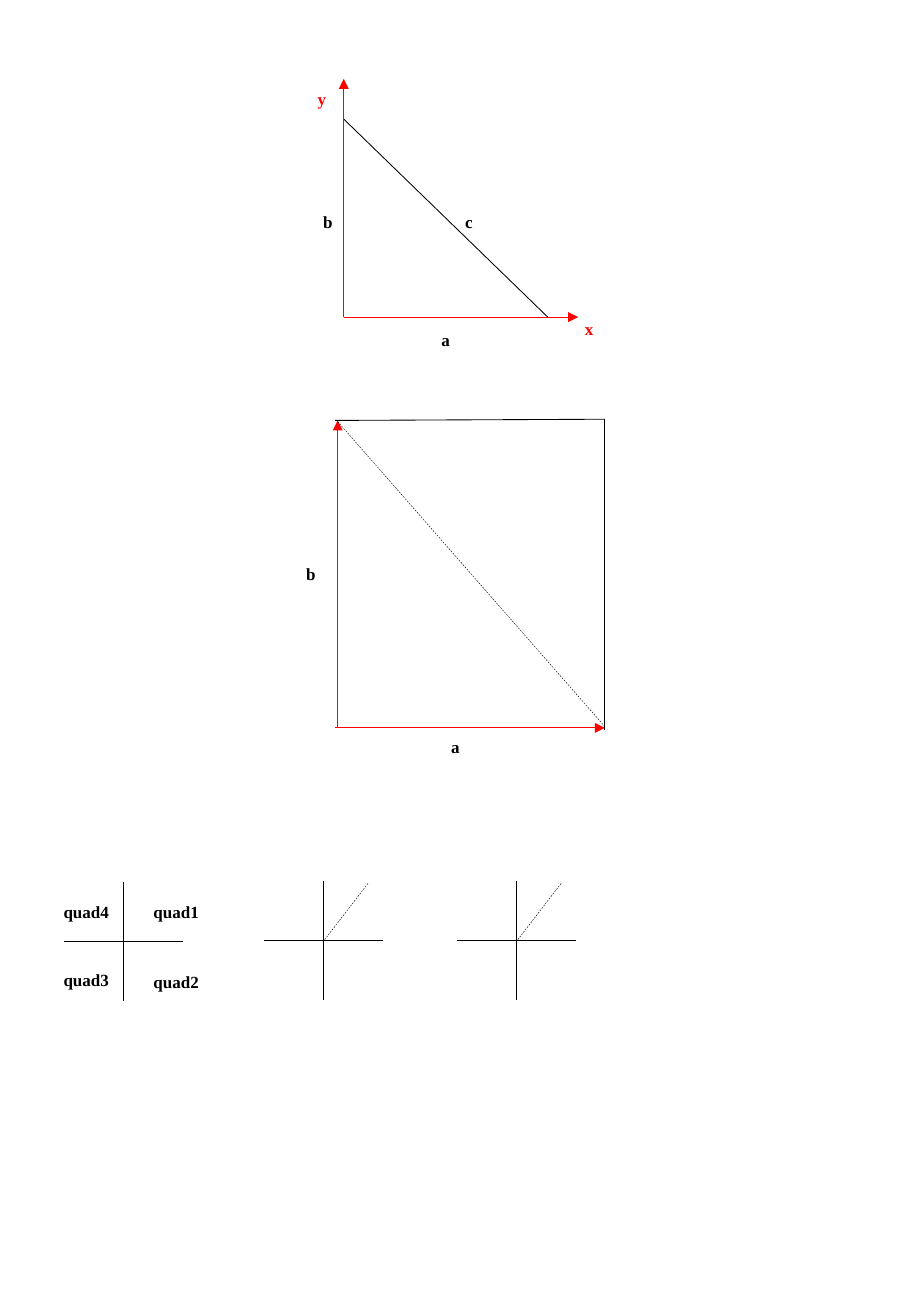
from lxml.etree import SubElement
from pptx import Presentation
from pptx.dml.color import RGBColor
from pptx.enum.dml import MSO_LINE
from pptx.enum.shapes import MSO_CONNECTOR
from pptx.enum.text import MSO_ANCHOR, PP_ALIGN
from pptx.oxml.ns import qn
from pptx.util import Inches, Pt

BLACK = "000000"
RED = "FF0000"
LABEL_HEIGHT = 0.27


def color(value):
    """Turn a hex string into a colour."""
    return RGBColor.from_string(value)


def add_line(group, origin, start, end, ink=BLACK, dashed=False, arrow=False):
    """Draw a line between two points measured from the origin."""
    left, top = origin
    line = group.shapes.add_connector(
        MSO_CONNECTOR.STRAIGHT,
        Inches(left + start[0]), Inches(top + start[1]),
        Inches(left + end[0]), Inches(top + end[1]))
    line.line.color.rgb = color(ink)
    line.line.width = Pt(0.25 if dashed else 0.5)
    if dashed:
        line.line.dash_style = MSO_LINE.DASH
    properties = line._element.spPr
    if arrow:
        SubElement(properties.find(qn("a:ln")), qn("a:tailEnd"), type="triangle")
    SubElement(properties, qn("a:effectLst"))


def add_label(group, origin, offset, text, ink=BLACK, width=0.26):
    """Write a bold centred label at an offset from the origin."""
    box = group.shapes.add_textbox(
        Inches(origin[0] + offset[0]), Inches(origin[1] + offset[1]),
        Inches(width), Inches(LABEL_HEIGHT))
    frame = box.text_frame
    frame.margin_left = frame.margin_right = 0
    frame.margin_top = frame.margin_bottom = Inches(0.05)
    frame.word_wrap = False
    frame.vertical_anchor = MSO_ANCHOR.MIDDLE
    para = frame.paragraphs[0]
    para.text = text
    para.alignment = PP_ALIGN.CENTER
    para.font.name = "Times New Roman"
    para.font.size = Pt(10.1)
    para.font.bold = True
    para.font.color.rgb = color(ink)


def add_triangle(page, left, top, width, height):
    """Draw the right triangle with sides a, b, c on its x and y axes."""
    group = page.shapes.add_group_shape()
    origin = left, top
    apex, corner, tip = (0, 0), (0, height), (width, height)
    for start, end in ((apex, corner), (tip, corner), (apex, tip)):
        add_line(group, origin, start, end)
    for end in ((0, -0.33), (width + 0.25, height)):
        add_line(group, origin, corner, end, RED, arrow=True)
    add_label(group, origin, (-0.31, -0.3), "y", RED)
    add_label(group, origin, (width + 0.21, height - 0.04), "x", RED)
    add_label(group, origin, (-0.26, 0.71), "b")
    add_label(group, origin, (0.71, height + 0.05), "a")
    add_label(group, origin, (0.9, 0.71), "c")


def add_rectangle(page, left, top, width, height):
    """Draw the rectangle with sides a and b and its dashed diagonal."""
    group = page.shapes.add_group_shape()
    origin = left, top
    add_line(group, origin, (0, height), (0, 0), RED, arrow=True)
    add_line(group, origin, (-0.02, height), (width, height), RED, arrow=True)
    add_label(group, origin, (0.84, height + 0.02), "a")
    add_label(group, origin, (-0.35, 1.13), "b")
    add_line(group, origin, (-0.02, 0), (width, -0.01))
    add_line(group, origin, (width, height + 0.02), (width, -0.01))
    add_line(group, origin, (0, 0.01), (width, height - 0.01), dashed=True)


def add_cross(page, left, top, size, labels=(), ray=False):
    """Draw crossed axes with optional quadrant labels or a dashed ray."""
    group = page.shapes.add_group_shape()
    origin = left, top
    middle = size / 2
    add_line(group, origin, (middle, 0), (middle, size))
    add_line(group, origin, (size, middle), (0, middle))
    for text, offset in labels:
        add_label(group, origin, offset, text, width=0.62)
    if ray:
        add_line(group, origin, (middle + 0.37, 0.02), (middle, middle + 0.01),
                 dashed=True)


def main():
    """Build the page and save it."""
    deck = Presentation()
    deck.slide_width, deck.slide_height = Inches(7.5), Inches(10.83)
    page = deck.slides.add_slide(deck.slide_layouts[6])
    add_triangle(page, 2.83, 0.98, 1.68, 1.63)
    add_rectangle(page, 2.78, 3.46, 2.2, 2.53)
    quadrants = (("quad1", (0.61, 0.11)), ("quad2", (0.61, 0.68)),
                 ("quad4", (-0.13, 0.11)), ("quad3", (-0.13, 0.67)))
    add_cross(page, 0.53, 7.26, 0.98, labels=quadrants)
    for left in (2.17, 3.76):
        add_cross(page, left, 7.25, 0.98, ray=True)
    deck.save("out.pptx")


main()
